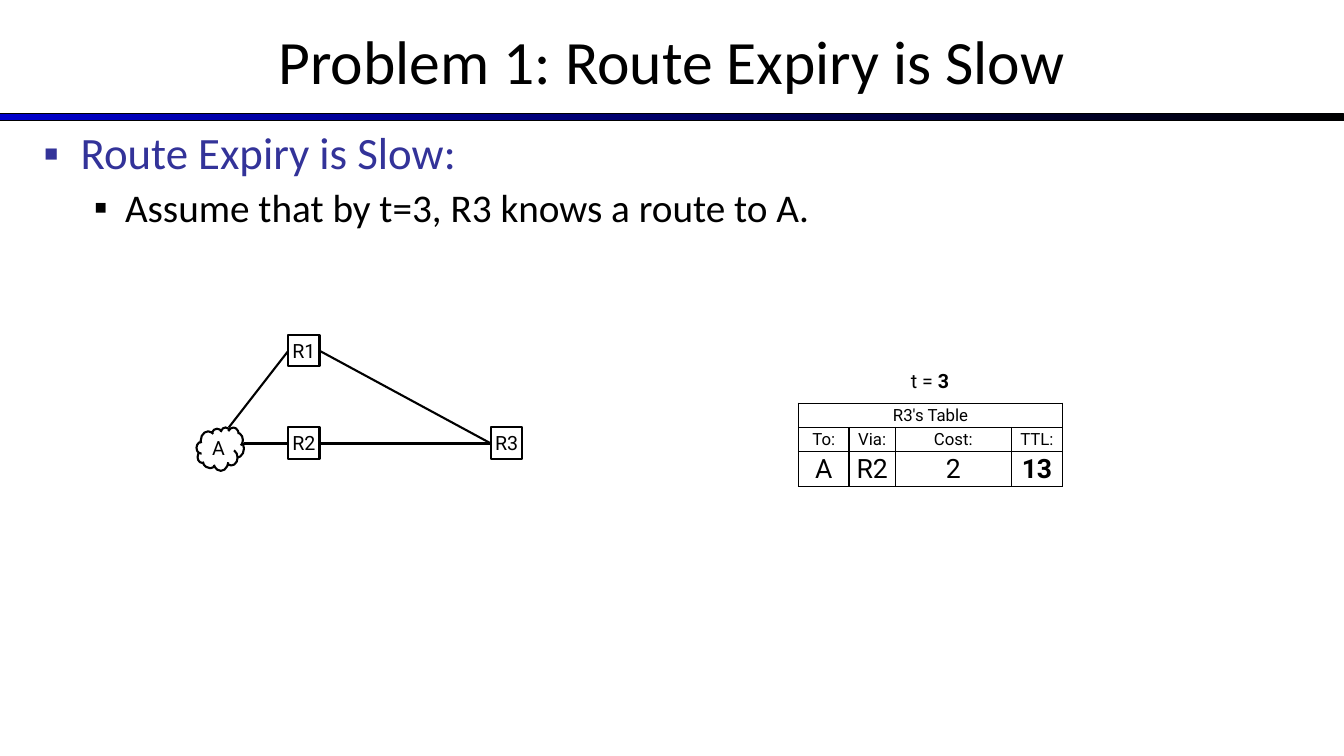
from lxml.etree import SubElement
from pptx import Presentation
from pptx.dml.color import RGBColor
from pptx.enum.shapes import MSO_CONNECTOR, MSO_SHAPE
from pptx.enum.text import MSO_ANCHOR, MSO_AUTO_SIZE, PP_ALIGN
from pptx.oxml import parse_xml
from pptx.oxml.ns import nsdecls, qn
from pptx.util import Inches, Pt


def rgb(color):
    return RGBColor.from_string(color)


def add_text(p, text, size, font="Roboto", color="000000", bold=False, align=PP_ALIGN.CENTER):
    p.alignment = align
    r = p.add_run()
    r.text = text
    r.font.size = Pt(size)
    r.font.name = font
    r.font.bold = bold
    r.font.color.rgb = rgb(color)


prs = Presentation()
prs.slide_width, prs.slide_height = Inches(13.33), Inches(7.5)
s = prs.slides.add_slide(prs.slide_layouts[1])

bar = s.shapes.add_shape(MSO_SHAPE.RECTANGLE, 0, Inches(1.13), Inches(13.33), Inches(0.07))
bar.shadow.inherit = False
bar.fill.gradient()
bar.fill.gradient_angle = 0
for stop, color in zip(bar.fill.gradient_stops, ("0000CC", "000000")):
    stop.color.rgb = rgb(color)
bar.line.color.rgb = rgb("000000")
bar.line.width = Pt(0.75)

title, body = s.placeholders
title.left, title.top, title.width, title.height = 0, Inches(-0.03), Inches(13.33), Inches(1.25)
title.text_frame.vertical_anchor = MSO_ANCHOR.MIDDLE
title.text_frame.auto_size = MSO_AUTO_SIZE.NONE
add_text(title.text_frame.paragraphs[0], "Problem 1: Route Expiry is Slow", 44, "Calibri")

body.left, body.top, body.width, body.height = [Inches(v) for v in (0.33, 1.25, 12.58, 5.81)]
tf = body.text_frame
tf.auto_size = MSO_AUTO_SIZE.NONE
bullets = [
    ("Route Expiry is Slow:", 32, "333399", 0.37, 0.37),
    ("Assume that by t=3, R3 knows a route to A.", 28, "000000", 0.81, 0.31),
]
for level, (text, size, color, margin, hang) in enumerate(bullets):
    p = tf.add_paragraph() if level else tf.paragraphs[0]
    p.level = level
    p.line_spacing = 0.9
    p.space_before = Pt(6.5)
    add_text(p, text, size, "Calibri", color, align=PP_ALIGN.LEFT)
    pPr = p._p.get_or_add_pPr()
    pPr.set("marL", str(Inches(margin)))
    pPr.set("indent", str(-Inches(hang)))
    SubElement(SubElement(pPr, qn("a:buClr")), qn("a:srgbClr")).set("val", color)
    SubElement(pPr, qn("a:buChar")).set("char", "▪")

rows = [["R3's Table", "", "", ""], ["To:", "Via:", "Cost:", "TTL:"], ["A", "R2", "2", "13"]]
widths, heights = (0.5, 0.46, 1.15, 0.51), (0.24, 0.24, 0.35)
table = s.shapes.add_table(
    3, 4, Inches(7.92), Inches(4), Inches(sum(widths)), Inches(sum(heights))
).table
table.first_row = table.horz_banding = False
for col, width in zip(table.columns, widths):
    col.width = Inches(width)
for i, (row, height) in enumerate(zip(rows, heights)):
    table.rows[i].height = Inches(height)
    for j, text in enumerate(row):
        cell = table.cell(i, j)
        cell.margin_left = cell.margin_right = 0
        cell.margin_top = cell.margin_bottom = Inches(0.02)
        cell.vertical_anchor = MSO_ANCHOR.MIDDLE
        tcPr = cell._tc.get_or_add_tcPr()
        for side in "LRTB":
            tcPr.append(parse_xml(
                f'<a:ln{side} {nsdecls("a")} w="12700"><a:solidFill>'
                f'<a:srgbClr val="000000"/></a:solidFill></a:ln{side}>'
            ))
        cell.fill.background()
        if text:
            add_text(cell.text_frame.paragraphs[0], text, 19 if i == 2 else 12, bold=text == "13")
table.cell(0, 0).merge(table.cell(0, 3))

links = [
    (3.17, 4.4, 4.87, 4.4),
    (3.17, 3.48, 4.87, 4.4),
    (2.42, 4.4, 2.86, 4.4),
    (2.27, 4.24, 2.86, 3.48),
]
for ends in links:
    link = s.shapes.add_connector(MSO_CONNECTOR.STRAIGHT, *[Inches(v) for v in ends])
    link.line.color.rgb = rgb("000000")
    link.line.width = Pt(1.5)
    SubElement(link._element.spPr, qn("a:effectLst"))

nodes = [
    ("R3", MSO_SHAPE.RECTANGLE, 4.87, 4.24, 0.31, 0.31),
    ("R2", MSO_SHAPE.RECTANGLE, 2.86, 4.24, 0.31, 0.31),
    ("R1", MSO_SHAPE.RECTANGLE, 2.86, 3.32, 0.31, 0.31),
    ("A", MSO_SHAPE.CLOUD, 1.95, 4.24, 0.47, 0.43),
]
for name, kind, *box in nodes:
    node = s.shapes.add_shape(kind, *[Inches(v) for v in box])
    node.shadow.inherit = False
    node.fill.solid()
    node.fill.fore_color.rgb = rgb("FFFFFF")
    node.line.color.rgb = rgb("000000")
    node.line.width = Pt(1.5)
    tf = node.text_frame
    tf.margin_left = tf.margin_right = tf.margin_top = tf.margin_bottom = 0
    tf.vertical_anchor = MSO_ANCHOR.MIDDLE
    add_text(tf.paragraphs[0], name, 14)

time = s.shapes.add_textbox(Inches(8.84), Inches(3.63), Inches(0.77), Inches(0.3))
time.fill.solid()
time.fill.fore_color.rgb = rgb("FFFFFF")
tf = time.text_frame
tf.word_wrap = True
tf.auto_size = MSO_AUTO_SIZE.SHAPE_TO_FIT_TEXT
tf.margin_left = tf.margin_right = tf.margin_top = tf.margin_bottom = Inches(0.03)
add_text(tf.paragraphs[0], "t = ", 14)
add_text(tf.paragraphs[0], "3", 14, bold=True)

prs.save("out.pptx")
